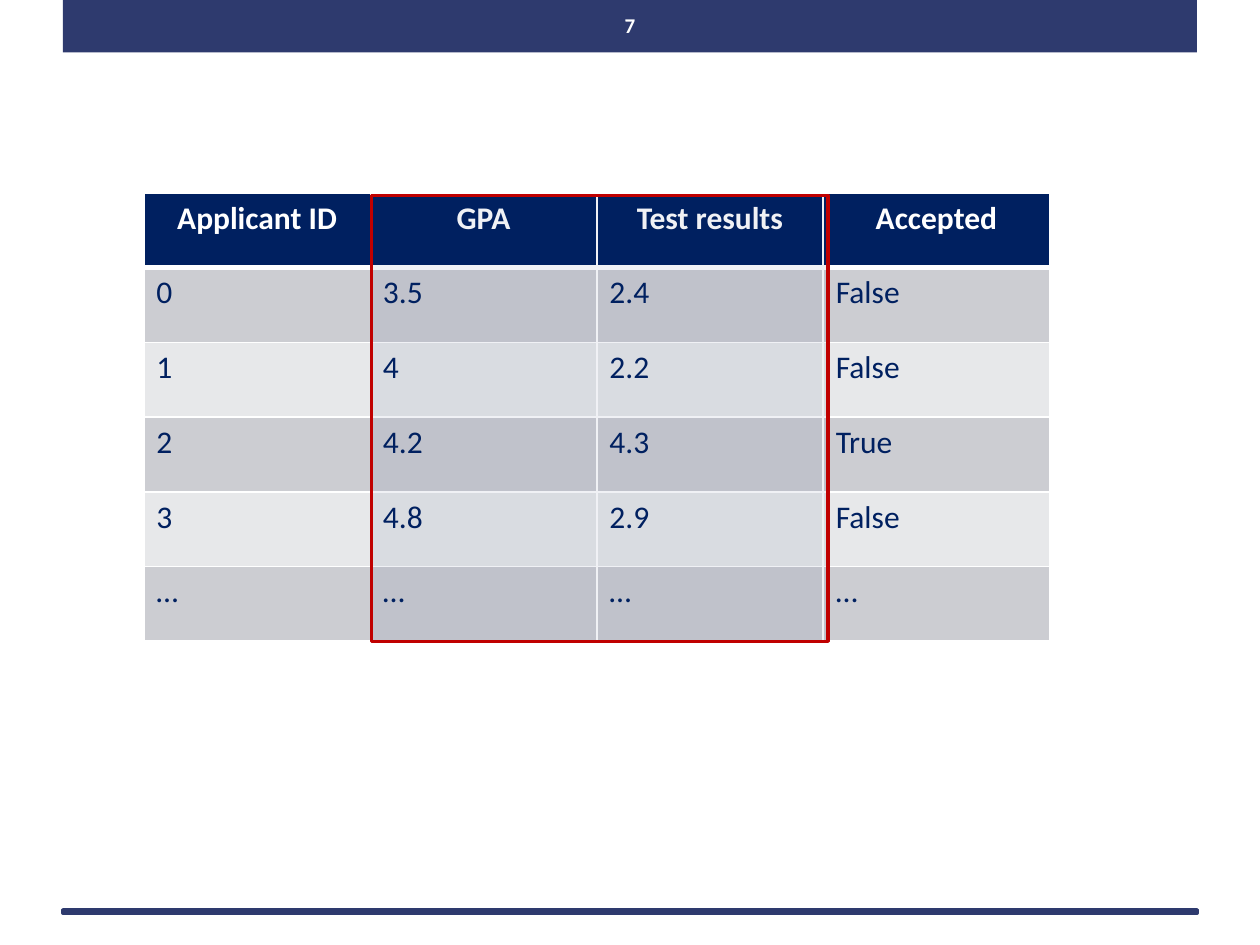
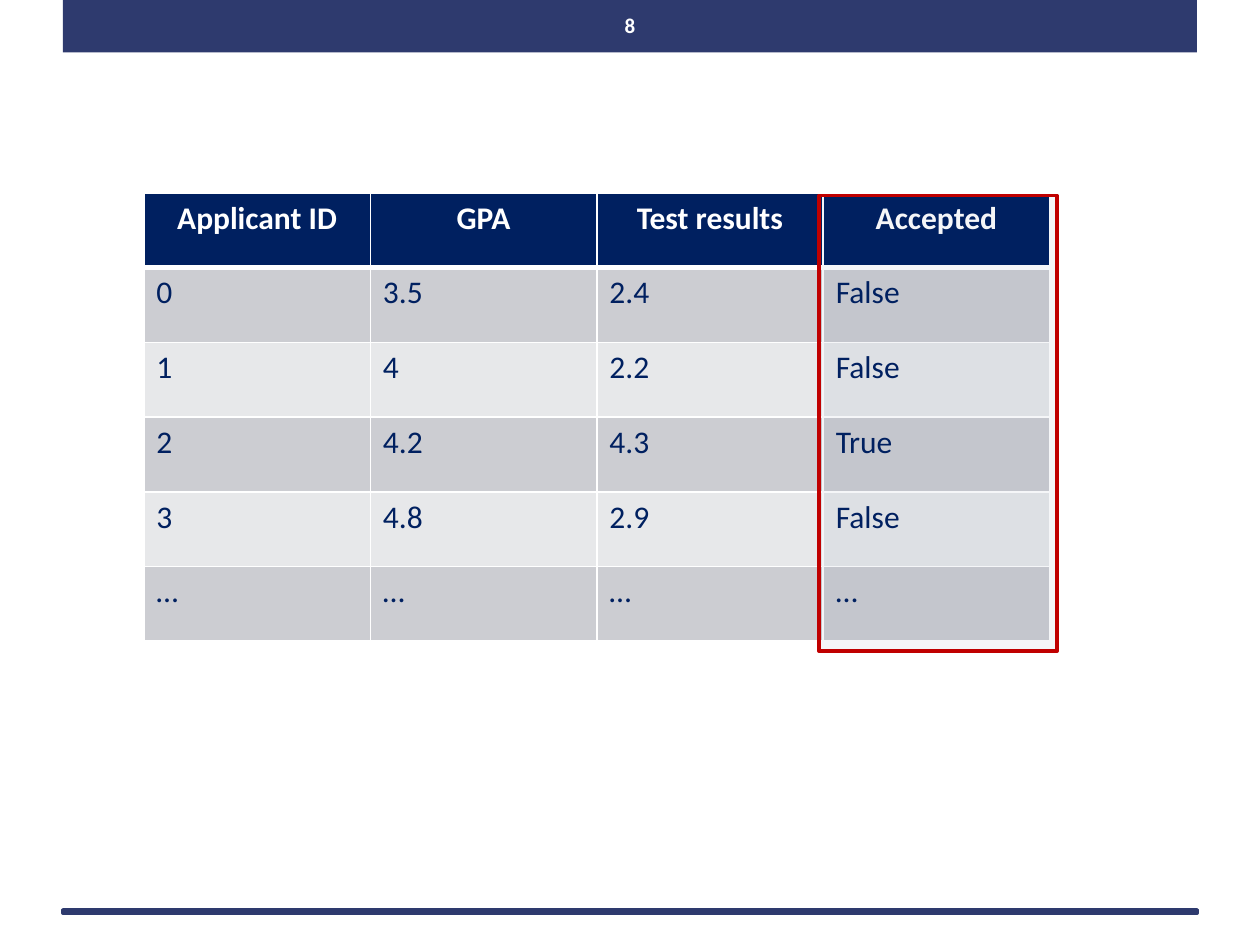
from lxml.etree import SubElement
from pptx import Presentation
from pptx.dml.color import RGBColor
from pptx.enum.shapes import MSO_SHAPE as Shape
from pptx.enum.text import MSO_ANCHOR as Anchor, PP_ALIGN as Align
from pptx.oxml.ns import qn
from pptx.util import Cm, Pt

WHITE = RGBColor(0xFF, 0xFF, 0xFF)
NAVY = RGBColor(0x00, 0x20, 0x60)
BAND_BLUE = RGBColor(0x2E, 0x3A, 0x6E)
RED = RGBColor(0xC0, 0x00, 0x00)
ROW_DARK = RGBColor(0xCC, 0xCD, 0xD2)
ROW_LIGHT = RGBColor(0xE7, 0xE8, 0xEA)
FONT = "Calibri"

APPLICANTS = [
    ("Applicant ID", "GPA", "Test results", "Accepted"),
    ("0", "3.5", "2.4", "False"),
    ("1", "4", "2.2", "False"),
    ("2", "4.2", "4.3", "True"),
    ("3", "4.8", "2.9", "False"),
    ("…", "…", "…", "…"),
]
HIGHLIGHTS = [
    (7.49, 9.2, 8.99, 6),
    (16.51, 4.8, 9.19, 4),
]


def add_rectangle(slide, left, top, width, height, fill, line=None):
    shape = slide.shapes.add_shape(Shape.RECTANGLE, Cm(left), Cm(top), Cm(width), Cm(height))
    shape.shadow.inherit = False
    shape.fill.solid()
    shape.fill.fore_color.rgb = fill
    if line is None:
        shape.line.fill.background()
    else:
        shape.line.color.rgb = line
        shape.line.width = Pt(2)
    return shape


def add_borders(cell, top, bottom):
    properties = cell._tc.get_or_add_tcPr()
    for side, points in (("L", 1), ("R", 1), ("T", top), ("B", bottom)):
        border = SubElement(properties, qn(f"a:ln{side}"), w=str(Pt(points)))
        fill = SubElement(border, qn("a:solidFill"))
        SubElement(fill, qn("a:srgbClr"), val=str(WHITE))


presentation = Presentation()
presentation.slide_width = Cm(25.4)
presentation.slide_height = Cm(19.05)

for number, (left, width, height, opacity) in enumerate(HIGHLIGHTS, start=7):
    slide = presentation.slides.add_slide(presentation.slide_layouts[6])
    add_rectangle(slide, 1.27, 0, 22.86, 1.06, BAND_BLUE)
    add_rectangle(slide, 1.27, 18.34, 22.86, 0.07, NAVY, BAND_BLUE)

    number_box = slide.shapes.add_textbox(Cm(12.19), Cm(0), Cm(1.02), Cm(1.02))
    number_box.text_frame.word_wrap = True
    number_box.text_frame.vertical_anchor = Anchor.MIDDLE
    paragraph = number_box.text_frame.paragraphs[0]
    paragraph.text = str(number)
    paragraph.alignment = Align.CENTER
    paragraph.font.name = FONT
    paragraph.font.size = Pt(12)
    paragraph.font.bold = True
    paragraph.font.color.rgb = WHITE

    table = slide.shapes.add_table(
        len(APPLICANTS), len(APPLICANTS[0]), Cm(2.9), Cm(3.89), Cm(18.26), Cm(9.04)
    ).table
    for row_index, values in enumerate(APPLICANTS):
        is_header = row_index == 0
        for column_index, value in enumerate(values):
            cell = table.cell(row_index, column_index)
            add_borders(cell, 3 if row_index == 1 else 1, 3 if is_header else 1)
            cell.fill.solid()
            cell.fill.fore_color.rgb = NAVY if is_header else ROW_DARK if row_index % 2 else ROW_LIGHT
            paragraph = cell.text_frame.paragraphs[0]
            paragraph.text = value
            paragraph.alignment = Align.CENTER if is_header else Align.LEFT
            paragraph.font.name = FONT
            paragraph.font.size = Pt(18)
            paragraph.font.bold = is_header
            paragraph.font.color.rgb = WHITE if is_header else NAVY

    highlight = add_rectangle(slide, left, 3.94, width, height, NAVY, RED)
    fill_color = highlight.fill._xPr.find(qn("a:solidFill"))[0]
    SubElement(fill_color, qn("a:alpha"), val=str(opacity * 1000))

presentation.save("out.pptx")
